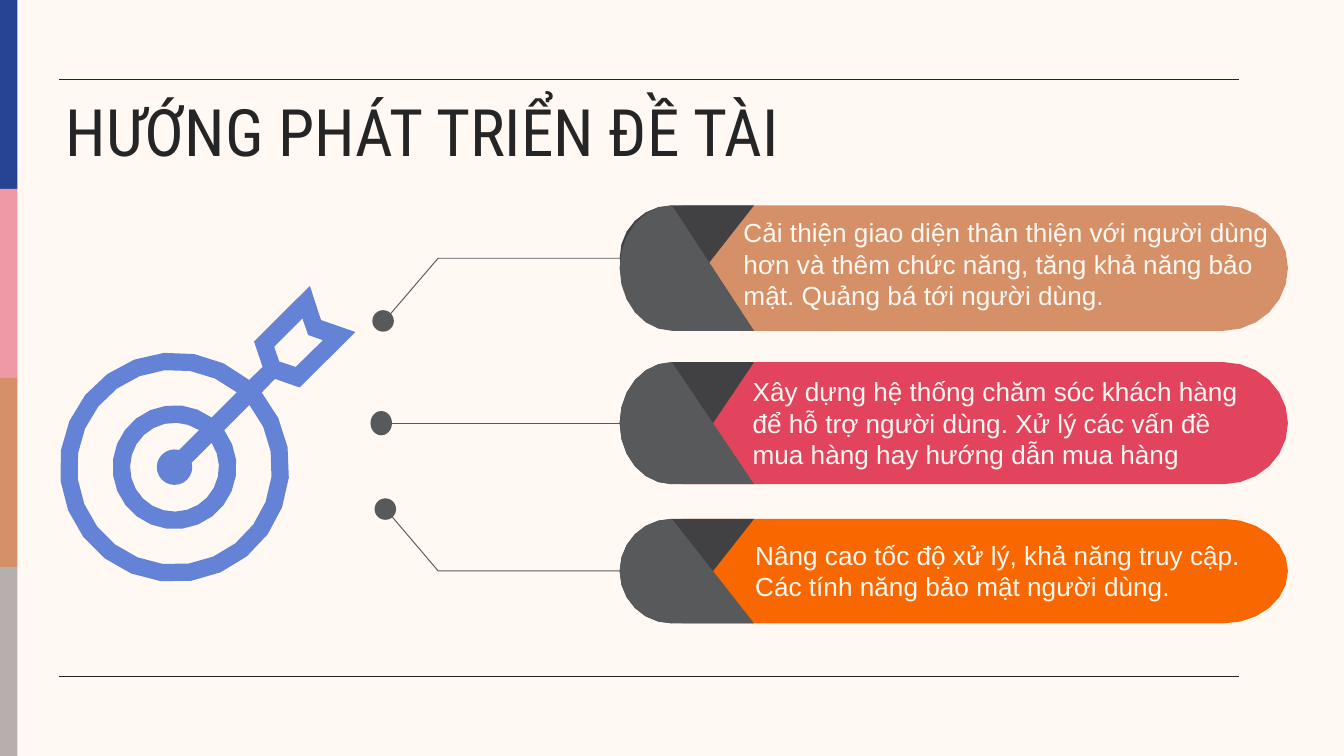
from math import asin, cos, degrees, radians, sin

from lxml import etree
from pptx import Presentation
from pptx.dml.color import RGBColor
from pptx.enum.shapes import MSO_CONNECTOR, MSO_SHAPE
from pptx.enum.text import MSO_AUTO_SIZE
from pptx.oxml.ns import qn
from pptx.util import Pt

RECT, OVAL = MSO_SHAPE.RECTANGLE, MSO_SHAPE.OVAL
STRAIGHT = MSO_CONNECTOR.STRAIGHT
GROW, FIXED = MSO_AUTO_SIZE.SHAPE_TO_FIT_TEXT, MSO_AUTO_SIZE.NONE
ARC_STEP = 15  # degrees

HEX = {
    "cream": "FFF8F3", "ink": "252525", "navy": "264394", "pink": "EF99A7",
    "tan": "D69067", "taupe": "B7AFAD", "red": "E2445E", "orange": "F96800",
    "grey": "58595B", "dark": "414042", "blue": "6483D7",
}
C = {name: RGBColor.from_string(value) for name, value in HEX.items()}

prs = Presentation()
prs.slide_width, prs.slide_height = Pt(720), Pt(405)
s = prs.slides.add_slide(prs.slide_layouts[6])
s.background.fill.solid()
s.background.fill.fore_color.rgb = C["cream"]


def text(lines, x, y, w, h, size=14, font="Arial", color="cream",
         inset=(5, 3), spacing=None, fit=GROW):
    tf = s.shapes.add_textbox(Pt(x), Pt(y), Pt(w), Pt(h)).text_frame
    tf.word_wrap, tf.auto_size = True, fit
    tf.margin_left = tf.margin_right = Pt(inset[0])
    tf.margin_top = tf.margin_bottom = Pt(inset[1])
    for i, line in enumerate(lines):
        p = tf.paragraphs[0] if i == 0 else tf.add_paragraph()
        if spacing:
            p.line_spacing = spacing
        r = p.add_run()
        r.text = line
        r.font.size, r.font.name = Pt(size), font
        r.font.color.rgb = C[color]


def outline(contours, color, filled=True):
    """Draw contours of points (x, y) and arcs (cx, cy, rx, ry, start, end).

    Filled outlines are closed; others are drawn as open lines.
    """
    builder = None
    for contour in contours:
        points = []
        for part in contour:
            if len(part) == 2:
                points.append(part)
                continue
            cx, cy, rx, ry, start, end = part
            steps = round(abs(end - start) / ARC_STEP)
            for i in range(steps + 1):
                a = radians(start + (end - start) * i / steps)
                points.append((cx + rx * cos(a), cy + ry * sin(a)))
        points = [(Pt(x), Pt(y)) for x, y in points]
        if builder is None:
            builder = s.shapes.build_freeform(*points[0])
        else:
            builder.move_to(*points[0])
        builder.add_line_segments(points[1:], close=filled)
    sp = builder.convert_to_shape()
    sp.shadow.inherit = False
    if filled:
        sp.fill.solid()
        sp.fill.fore_color.rgb = C[color]
        sp.line.fill.background()
    else:
        sp.fill.background()
        sp.line.color.rgb = C[color]
        sp.line.width = Pt(0.5)


# Side stripes and dots
stripe_h = 405 / 4
solids = [(RECT, 0, i * stripe_h, 9.4, stripe_h, color)
          for i, color in enumerate(("navy", "pink", "tan", "taupe"))]
solids += [(OVAL, 199.5, 166.2, 11.5, 11.5, "grey"),
           (OVAL, 198.5, 220.2, 11.5, 13, "grey"),
           (OVAL, 200.7, 267, 11.5, 11.5, "grey")]
for kind, x, y, w, h, color in solids:
    sp = s.shapes.add_shape(kind, Pt(x), Pt(y), Pt(w), Pt(h))
    sp.shadow.inherit = False
    sp.fill.solid()
    sp.fill.fore_color.rgb = C[color]
    sp.line.fill.background()

# Rules above and below, and the straight middle leader
for x1, x2, y, color, width in ((31.7, 663.8, 42.5, "ink", 0.75),
                                (31.7, 663.8, 362.3, "ink", 0.75),
                                (206.6, 332, 226.7, "grey", 0.5)):
    line = s.shapes.add_connector(STRAIGHT, Pt(x1), Pt(y), Pt(x2), Pt(y))
    line.line.color.rgb = C[color]
    line.line.width = Pt(width)
    etree.SubElement(line._element.spPr, qn("a:effectLst"))

# Bent leaders
for y, dot_y in ((138.4, 171), (305.8, 273)):
    outline([[(332, y), (234.7, y), (206.8, dot_y)]], "grey", filled=False)

# Banners: top, height, height of dark fold, colour
for top, h, fold_h, color in ((110, 67.2, 56.2, "tan"),
                              (194, 65.4, 65.4, "red"),
                              (278, 56, 56, "orange")):
    mid = top + h / 2
    outline([[(366.5, mid, 34.5, h / 2, 270, 90),
              (655.5, mid, 34.5, h / 2, 90, -90)]], color)
    outline([[(404, top), (360, top + fold_h / 2, 28, fold_h / 2, 270, 90)]], "dark")
    outline([[(404, top + h), (360, mid, 28, h / 2, 90, 270)]], "grey")

text(["Cải thiện giao diện thân thiện với người dùng hơn và thêm chức năng, "
      "tăng khả năng bảo mật. Quảng bá tới người dùng."], 393.3, 113.2, 294.5, 56)
text(["Xây dựng hệ thống chăm sóc khách hàng để hỗ trợ người dùng. "
      "Xử lý các vấn đề mua hàng hay hướng dẫn mua hàng"], 398.2, 198.2, 285, 56)
text(["Nâng cao tốc độ xử lý, khả năng truy cập.",
      "Các tính năng bảo mật người dùng."], 399.6, 285.8, 304.6, 54.7)
text(["HƯỚNG PHÁT TRIỂN ĐỀ TÀI"], 28.1, 49.7, 607, 45.4, size=35,
     font="Roboto Condensed", color="ink", inset=(7.2, 7.2), spacing=0.8, fit=FIXED)

# Target: arcs stop on both sides of the arrow shaft, which points up right
CX, CY, SHAFT_HALF = 93.5, 250.3, 4.8
arcs = []
for radius in (61.5, 52.2, 33.2, 23.8, 9.5):
    gap = degrees(asin(SHAFT_HALF / radius))
    arcs.append((CX, CY, radius, radius, -45 - gap, -405 + gap))
rim, *edges = arcs
fletching = [(147.3, 203), (160.5, 207.6), (190.4, 177.9), (172, 171.5),
             (166, 153.2), (136.1, 183), (140.7, 196.6)]
fletching_hole = [(162, 170.6), (165.1, 179.5), (173, 182.3),
                  (158.4, 196.6), (149.6, 193.7), (146.9, 185.8)]
ring_holes = [[outer, inner[:4] + (inner[5], inner[4])]
              for outer, inner in zip(edges[::2], edges[1::2])]
outline([[rim] + fletching, fletching_hole] + ring_holes, "blue")

prs.save("out.pptx")
